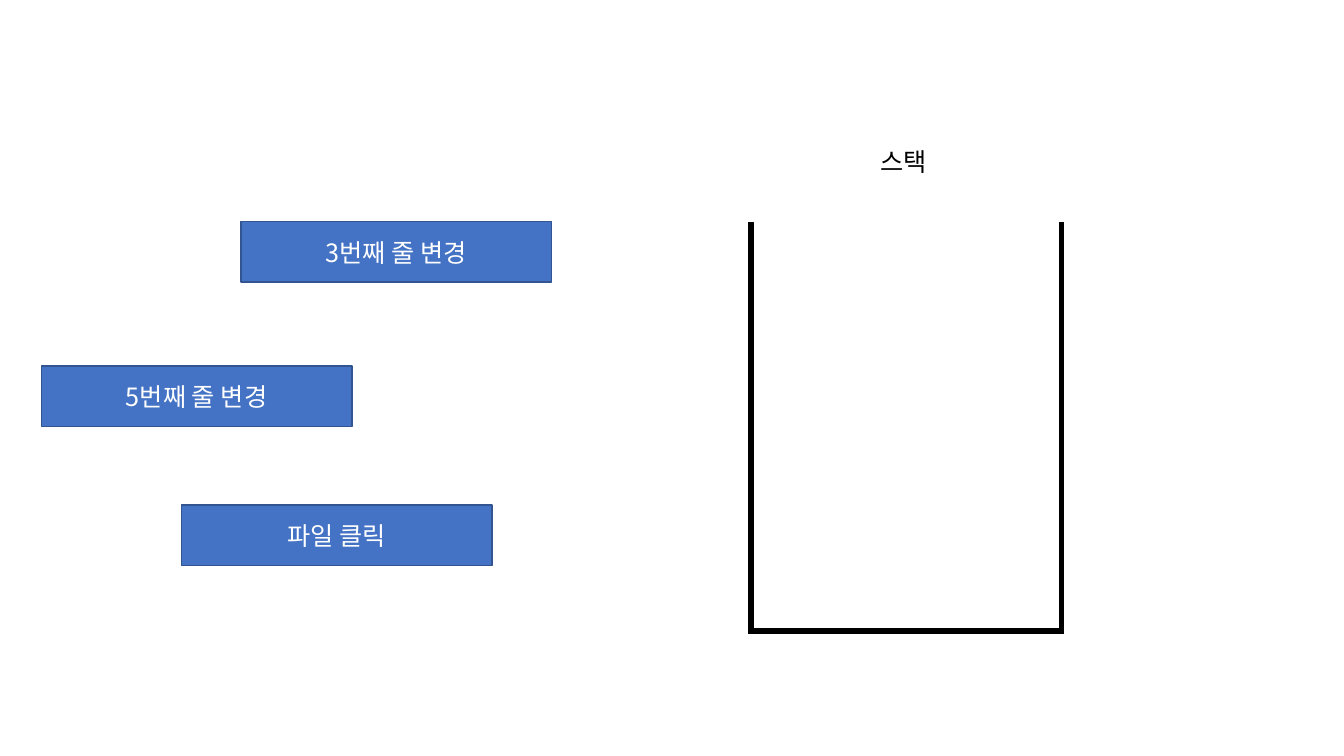
from dataclasses import dataclass

from lxml.etree import SubElement
from pptx import Presentation
from pptx.dml.color import RGBColor
from pptx.enum.shapes import MSO_SHAPE
from pptx.enum.text import MSO_ANCHOR, MSO_AUTO_SIZE, PP_ALIGN
from pptx.oxml.ns import qn
from pptx.util import Inches, Pt


@dataclass(frozen=True)
class Theme:
    font: str = "Noto Sans CJK KR"
    size: int = 18
    ink: str = "000000"
    light: str = "FFFFFF"
    fill: str = "4472C4"
    outline: str = "325491"
    outline_width: float = 1
    wall_width: float = 4.5


THEME = Theme()
ACTION_SIZE = (3.08, 0.6)


def apply_format(target, values):
    for name, value in values.items():
        setattr(target, name, value)


def write_text(frame, text, color, align):
    para = frame.paragraphs[0]
    para.alignment = align
    span = para.add_run()
    span.text = text
    apply_format(span.font, {"name": THEME.font, "size": Pt(THEME.size)})
    span.font.color.rgb = RGBColor.from_string(color)
    # Korean glyphs take the East Asian typeface
    SubElement(span.font._element, qn("a:ea"), typeface=THEME.font)


def add_action(page, box, text):
    shape = page.shapes.add_shape(MSO_SHAPE.RECTANGLE, *map(Inches, box))
    shape.shadow.inherit = False
    shape.fill.solid()
    shape.fill.fore_color.rgb = RGBColor.from_string(THEME.fill)
    shape.line.color.rgb = RGBColor.from_string(THEME.outline)
    shape.line.width = Pt(THEME.outline_width)
    shape.text_frame.vertical_anchor = MSO_ANCHOR.MIDDLE
    write_text(shape.text_frame, text, THEME.light, PP_ALIGN.CENTER)


def set_borders(cell, walls):
    # Border elements come before the cell fill, in schema order
    properties = cell._tc.get_or_add_tcPr()
    for index, side in enumerate(("lnL", "lnR", "lnT", "lnB")):
        border = SubElement(properties, qn(f"a:{side}"))
        properties.insert(index, border)
        if side in walls:
            border.set("w", str(Pt(THEME.wall_width)))
            solid = SubElement(border, qn("a:solidFill"))
            SubElement(solid, qn("a:srgbClr"), val=THEME.ink)
        else:
            SubElement(border, qn("a:noFill"))


def add_stack(page, box, title):
    left, top, width, height = box
    # Label centred above the container
    label_width = 0.71
    label_left = left + (width - label_width) / 2
    label = page.shapes.add_textbox(
        *map(Inches, (label_left, top - 0.8, label_width, 0.4)))
    apply_format(label.text_frame, {
        "word_wrap": False, "auto_size": MSO_AUTO_SIZE.SHAPE_TO_FIT_TEXT})
    write_text(label.text_frame, title, THEME.ink, PP_ALIGN.LEFT)

    # Container open at the top
    table = page.shapes.add_table(1, 1, *map(Inches, box)).table
    apply_format(table, {"first_row": False, "horz_banding": False})
    cell = table.cell(0, 0)
    cell.fill.background()
    set_borders(cell, {"lnL", "lnR", "lnB"})


def add_actions(page, box, actions):
    left, top = box
    for text, across, down in actions:
        add_action(page, (left + across, top + down, *ACTION_SIZE), text)


def build_stack_slide(deck):
    page = deck.slides.add_slide(deck.slide_layouts[6])
    # Actions waiting to enter the stack: text, offset across, offset down
    add_actions(page, (0.41, 2.2), [
        ("파일 클릭", 1.39, 2.81),
        ("5번째 줄 변경", 0, 1.43),
        ("3번째 줄 변경", 1.98, 0),
    ])
    add_stack(page, (7.45, 2.2, 3.08, 4.06), "스택")


deck = Presentation()
apply_format(deck, {"slide_width": Inches(13.33), "slide_height": Inches(7.5)})
build_stack_slide(deck)
deck.save("out.pptx")
